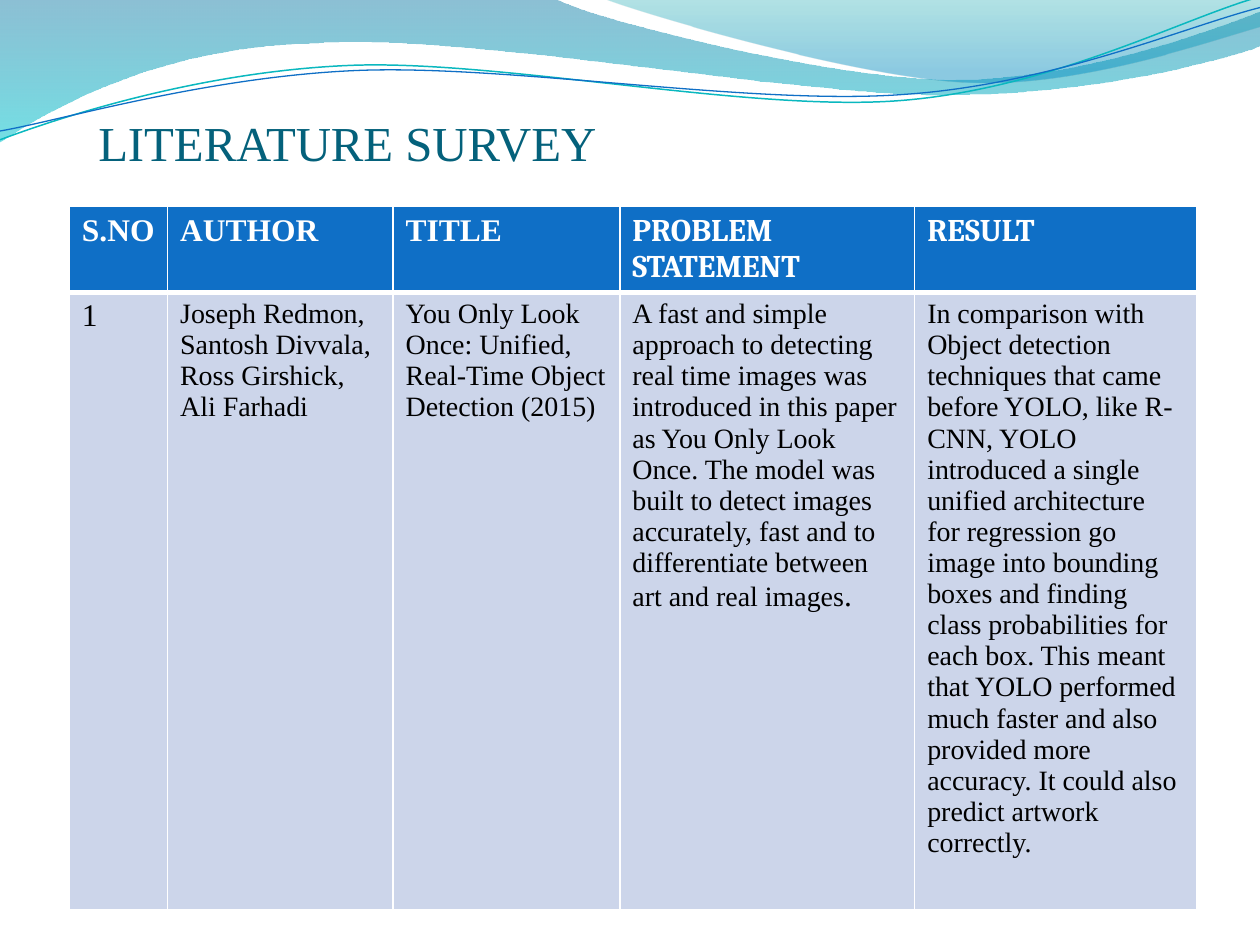
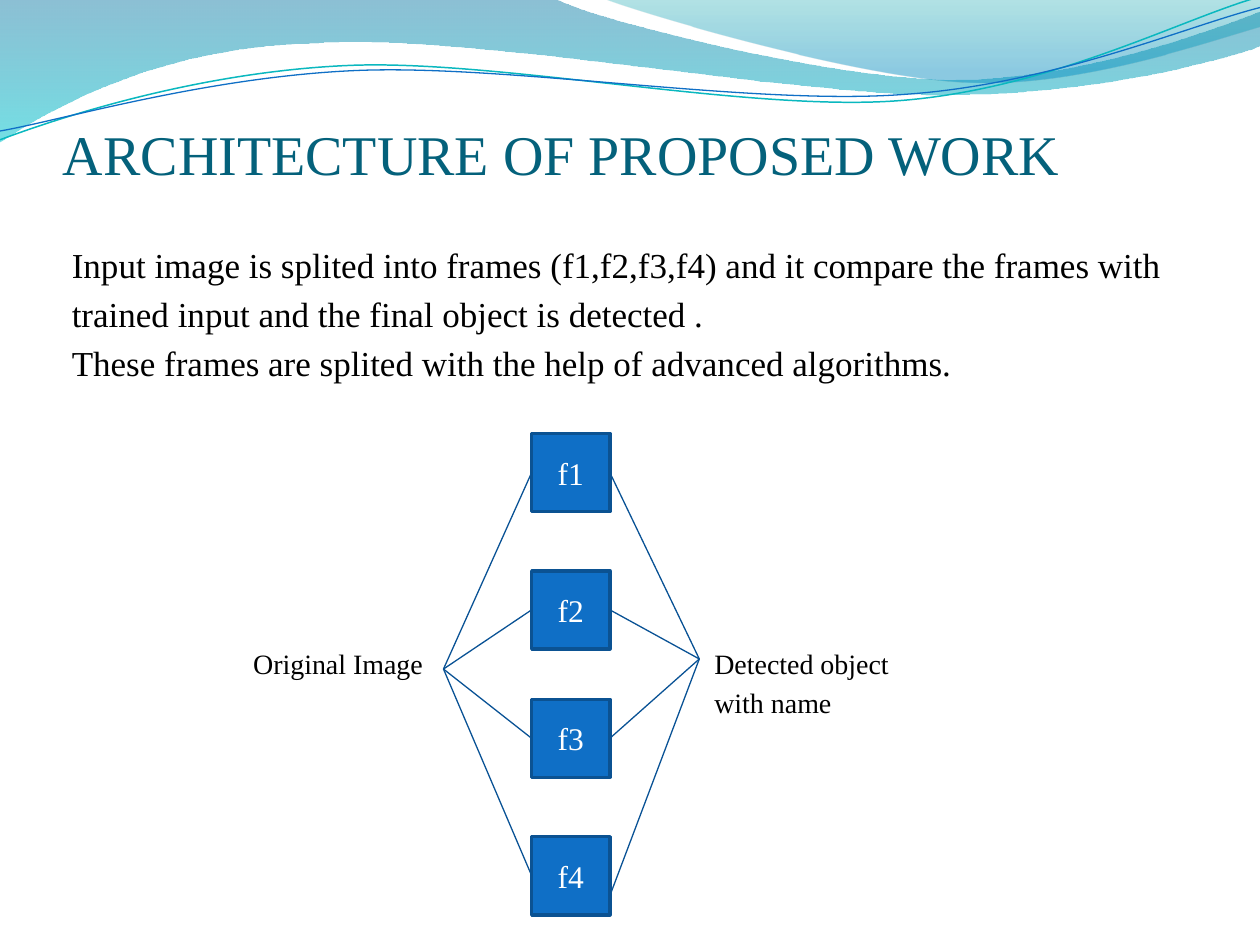
import pptx
import pptx.dml.color
import pptx.enum.shapes
import pptx.enum.text
import pptx.util
from lxml import etree
from pptx.oxml.ns import qn

Inches, Pt = pptx.util.Inches, pptx.util.Pt
SERIF, HEAD_FONT = "Times New Roman", "Cambria"
BLUE, TEAL, TITLE, PALE = "0F6FC6", "0AB8BF", "04617B", "CCD5EA"
BOX_EDGE, LINK, WHITE, BLACK = "0B5292", "095295", "FFFFFF", "000000"
BOX = 0.62

# Waves: start point, then cubic curves (six numbers) or straight lines (two)
BANDS = [
    ([(0, 0), (4.4, -0.01), (4.76, 0.17, 6.64, 0.63, 7.58, 0.63),
      (8.53, 0.63, 9.58, 0.26, 10, 0.09), (10.01, 0.36),
      (9.83, 0.44, 8.7, 0.76, 7.46, 0.75), (6.22, 0.75, 3.82, 0.28, 2.57, 0.34),
      (1.29, 0.36, 0.46, 0.83, -0.01, 1.13)],
     [(0, "0074A1", 45), (1, "00C6CF", 55)]),
    ([(4.79, -0.01), (5.09, 0.11, 6.82, 0.62, 7.69, 0.65),
      (8.56, 0.69, 9.61, 0.32, 10, 0.21), (10, 0)],
     [(0, "00A1A9", 30), (0.8, "008BBF", 45)]),
]
WAVE_LINES = [
    ([(0, 1.11), (0.48, 0.93, 1.58, 0.57, 2.77, 0.52),
      (3.95, 0.47, 5.93, 0.89, 7.13, 0.8), (8.33, 0.71, 9.38, 0.15, 9.98, -0.02)],
     TEAL, 0.85),
    ([(0, 1.04), (0.47, 0.96, 1.64, 0.61, 2.83, 0.56),
      (4.03, 0.51, 5.97, 0.84, 7.17, 0.75), (8.36, 0.67, 9.41, 0.21, 10, 0.06)],
     BLUE, 0.75),
]

COLUMNS = [("S.NO", 0.78, SERIF), ("AUTHOR", 1.79, SERIF), ("TITLE", 1.8, SERIF),
           ("PROBLEM STATEMENT", 2.34, HEAD_FONT), ("RESULT", 2.24, HEAD_FONT)]
# Each cell is a list of paragraphs, each paragraph a list of (text, size)
SURVEY = [
    [[("1", 18)]],
    [[("Joseph Redmon, Santosh Divvala, Ross Girshick,", 16)], [("Ali Farhadi", 16)]],
    [[("You Only Look Once: Unified, Real-Time Object Detection (2015)", 16)]],
    [[("A fast and simple approach to detecting real time images was introduced in "
       "this paper as You Only Look Once. The model was built to detect images "
       "accurately, fast and to differentiate between art and real images", 16),
      (".", 18)]],
    [[("In comparison with Object detection techniques that came before YOLO, like "
       "R-CNN, YOLO introduced a single unified architecture for regression go image "
       "into bounding boxes and finding class probabilities for each box. This meant "
       "that YOLO performed much faster and also provided more accuracy. It could "
       "also predict artwork correctly.", 16)]],
]


def rgb(hex_color):
    return pptx.dml.color.RGBColor.from_string(hex_color)


# Text
def add_run(p, text, size, color=BLACK, font=SERIF, bold=False):
    r = p.add_run()
    r.text = text
    r.font.size, r.font.name, r.font.bold = Pt(size), font, bold
    r.font.color.rgb = rgb(color)


def add_text(s, lines, x, y, w, h, size, color=BLACK, bottom=False):
    tf = s.shapes.add_textbox(Inches(x), Inches(y), Inches(w), Inches(h)).text_frame
    tf.word_wrap = True
    tf.margin_left = tf.margin_right = tf.margin_top = tf.margin_bottom = 0
    if bottom:
        tf.vertical_anchor = pptx.enum.text.MSO_ANCHOR.BOTTOM
    for i, line in enumerate(lines):
        p = tf.add_paragraph() if i else tf.paragraphs[0]
        if i:
            p.space_before = Pt(0.2 * size)
        add_run(p, line, size, color)


def add_title(s, text, x, bottom, size):
    add_text(s, [text], x, bottom - 0.64, 9.5 - x, 0.64, size, TITLE, bottom=True)


# Waves
def add_outline(s, segments, close):
    points = [(Inches(x), Inches(y)) for seg in segments
              for x, y in zip(seg[::2], seg[1::2])]
    builder = s.shapes.build_freeform(*points[0])
    builder.add_line_segments(points[1:], close=close)
    sp = builder.convert_to_shape()
    sp.shadow.inherit = False
    # Join each three line points of a curve into one cubic segment
    steps = list(sp.element.spPr.iter(qn("a:lnTo")))
    for seg in segments[1:]:
        step = steps.pop(0)
        if len(seg) == 6:
            step.tag = qn("a:cubicBezTo")
            for extra in (steps.pop(0), steps.pop(0)):
                step.append(extra[0])
                extra.getparent().remove(extra)
    return sp


def add_waves(s):
    shapes = []
    for segments, stops in BANDS:
        sp = add_outline(s, segments, True)
        sp.line.fill.background()
        sp.fill.gradient()
        sp.fill.gradient_angle = 270
        for stop, (position, color, opacity) in zip(sp.fill.gradient_stops, stops):
            stop.position = position
            stop.color.rgb = rgb(color)
        for clr, (_, _, opacity) in zip(sp.element.spPr.iter(qn("a:srgbClr")), stops):
            etree.SubElement(clr, qn("a:alpha"), val=str(opacity * 1000))
        shapes.append(sp)
    for segments, color, width in WAVE_LINES:
        sp = add_outline(s, segments, False)
        sp.fill.background()
        sp.line.color.rgb = rgb(color)
        sp.line.width = Pt(width)
        shapes.append(sp)
    return shapes


def share_waves(s):
    """Move the waves to the layout, so that every slide shows them."""
    tree = s.slide_layout.shapes.element
    for sp in add_waves(s):
        tree.append(sp.element)


# Table
def style_cell(cell, fill, **border_widths):
    tcPr = cell._tc.get_or_add_tcPr()
    for side in "LRTB":
        width = Pt(border_widths.get(side, 1))
        ln = etree.SubElement(tcPr, qn("a:ln" + side), w=str(width))
        solid = etree.SubElement(ln, qn("a:solidFill"))
        etree.SubElement(solid, qn("a:srgbClr"), val=WHITE)
    cell.fill.solid()
    cell.fill.fore_color.rgb = rgb(fill)


def add_survey_table(s):
    table = s.shapes.add_table(2, len(COLUMNS), Inches(0.55), Inches(1.64),
                               Inches(8.95), Inches(5.54)).table
    table.horz_banding = False
    table.rows[0].height, table.rows[1].height = Inches(0.65), Inches(4.89)
    for col, ((heading, width, font), paragraphs) in enumerate(zip(COLUMNS, SURVEY)):
        table.columns[col].width = Inches(width)
        head, body = table.cell(0, col), table.cell(1, col)
        style_cell(head, BLUE, B=3)
        style_cell(body, PALE, T=3)
        head.margin_bottom = Inches(0.03)
        add_run(head.text_frame.paragraphs[0], heading, 18, WHITE, font, True)
        tf = body.text_frame
        for i, runs in enumerate(paragraphs):
            p = tf.add_paragraph() if i else tf.paragraphs[0]
            for text, size in runs:
                add_run(p, text, size)


# Diagram
def add_frame_box(s, name, x, y):
    sp = s.shapes.add_shape(pptx.enum.shapes.MSO_SHAPE.RECTANGLE, Inches(x),
                            Inches(y), Inches(BOX), Inches(BOX))
    sp.shadow.inherit = False
    sp.fill.solid()
    sp.fill.fore_color.rgb = rgb(BLUE)
    sp.line.color.rgb = rgb(BOX_EDGE)
    sp.line.width = Pt(2)
    sp.text_frame.vertical_anchor = pptx.enum.text.MSO_ANCHOR.MIDDLE
    p = sp.text_frame.paragraphs[0]
    p.alignment = pptx.enum.text.PP_ALIGN.CENTER
    add_run(p, name, 18, WHITE)
    return sp


def add_link(s, start, end):
    points = [Inches(v) for v in (*start, *end)]
    cxn = s.shapes.add_connector(pptx.enum.shapes.MSO_CONNECTOR.STRAIGHT, *points)
    cxn.line.color.rgb = rgb(LINK)
    cxn.line.width = Pt(0.75)
    etree.SubElement(cxn._element.spPr, qn("a:effectLst"))
    return cxn


def add_diagram(s):
    left, source, target = 4.22, (3.52, 5.31), (5.55, 5.23)
    for name, y in [("f1", 3.44), ("f2", 4.53), ("f3", 5.55), ("f4", 6.64)]:
        box = add_frame_box(s, name, left, y)
        middle = y + BOX / 2
        add_link(s, (left, middle), source).begin_connect(box, 1)
        if name == "f4":  # this link leaves below the middle of the side
            add_link(s, (left + BOX, 7.11), target)
        else:
            add_link(s, (left + BOX, middle), target).begin_connect(box, 3)
    add_text(s, ["Original Image"], 2.01, 5.13, 1.5, 0.3, 16)
    add_text(s, ["Detected object", "with name"], 5.67, 5.13, 2, 0.6, 16)


def add_slide(prs):
    return prs.slides.add_slide(prs.slide_layouts[6])


def main():
    prs = pptx.Presentation()
    prs.slide_width, prs.slide_height = Inches(10), Inches(7.5)

    # Literature survey
    s = add_slide(prs)
    share_waves(s)
    add_title(s, "LITERATURE SURVEY", 0.78, 1.36, 27.9)
    add_survey_table(s)

    # Architecture
    s = add_slide(prs)
    add_title(s, "ARCHITECTURE OF PROPOSED WORK", 0.5, 1.48, 32)
    add_text(s, ["Input image is splited into frames (f1,f2,f3,f4) and it compare "
                 "the frames with",
                 "trained input and the final object is detected .",
                 "These frames are splited with the help of advanced algorithms."],
             0.57, 1.93, 8.9, 1.1, 20)
    add_diagram(s)

    prs.save("out.pptx")


if __name__ == "__main__":
    main()
